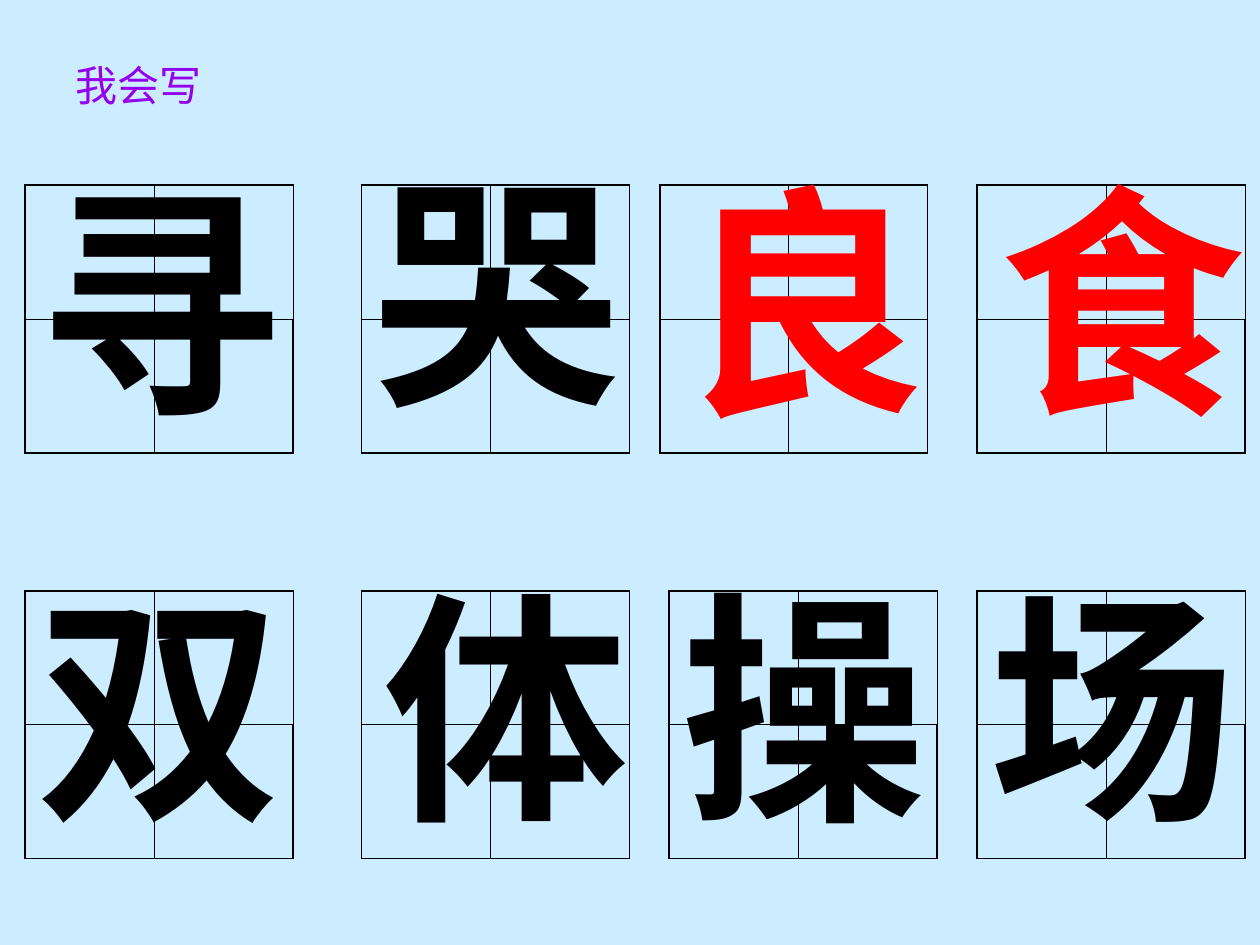
from dataclasses import dataclass
from itertools import product
from lxml.etree import SubElement
from pptx import Presentation
from pptx.dml.color import RGBColor
from pptx.enum.text import MSO_AUTO_SIZE as Auto
from pptx.oxml import parse_xml
from pptx.oxml.ns import nsdecls, qn
from pptx.util import Pt


def tint(code):
    return RGBColor.from_string(code)


def edge(side, width):
    return parse_xml(
        f'<a:ln{side} {nsdecls("a")} w="{Pt(width)}"><a:solidFill>'
        f'<a:srgbClr val="000000"/></a:solidFill></a:ln{side}>'
    )


@dataclass
class Sheet:
    """Draws writing-grid elements on one slide in a shared style."""

    slide: object
    face: str = "Noto Sans CJK SC"
    thick: float = 1.08
    thin: float = 0.45
    cols: tuple = (73.6, 79.5)

    def back(self, code):
        fill = self.slide.background.fill
        fill.solid()
        fill.fore_color.rgb = tint(code)

    def text(self, words, left, top, width, height, size):
        box = self.slide.shapes.add_textbox(Pt(left), Pt(top), Pt(width), Pt(height))
        frame = box.text_frame
        frame.text = words
        line = frame.paragraphs[0]
        font = line.runs[0].font
        font.size = Pt(size)
        font.name = self.face
        return frame, line, font

    def asian(self, font):
        SubElement(font._element, qn("a:ea")).set("typeface", self.face)

    def title(self, words, left, top, width, height):
        frame, _, font = self.text(words, left, top, width, height, 24)
        frame.word_wrap = False
        font.fill.gradient()
        font.fill.gradient_angle = 180
        for stop, code in zip(font.fill.gradient_stops, ("9400ED", "0000FF")):
            stop.color.rgb = tint(code)
        self.asian(font)

    def glyph(self, sign, left, top, code):
        frame, line, font = self.text(sign, left, top, 123.84, 125.28, 140)
        frame.word_wrap = True
        frame.auto_size = Auto.SHAPE_TO_FIT_TEXT
        line.line_spacing = 0.7
        font.bold = True
        font.color.rgb = tint(code)
        self.asian(font)

    def grid(self, left, top, row=76.5):
        table = self.slide.shapes.add_table(
            2, 2, Pt(left), Pt(top), Pt(sum(self.cols)), Pt(2 * row)
        ).table
        table.first_row = table.horz_banding = False
        for i, width in enumerate(self.cols):
            table.columns[i].width = Pt(width)
            table.rows[i].height = Pt(row)
        for r, c in product(range(2), repeat=2):
            cell = table.cell(r, c)
            cell.fill.background()
            bold = {"L": c == 0, "R": r == c == 1, "T": r == 0, "B": r == 1}
            for i, (side, heavy) in enumerate(bold.items()):
                width = self.thick if heavy else self.thin
                cell._tc.tcPr.insert(i, edge(side, width))


def main():
    deck = Presentation()
    deck.slide_width, deck.slide_height = Pt(720), Pt(540)
    sheet = Sheet(deck.slides.add_slide(deck.slide_layouts[6]))
    sheet.back("CCECFF")
    sheet.title("我会写", 36, 30.24, 131.76, 54)
    black, red = "000000", "FF0000"
    rows = [
        (105.84, [
            ("寻", 14.4, 0, 22.4, black),
            ("哭", 206.64, 0, 16.6, black),
            ("食", 558.4, 5.6, 22.4, red),
            ("良", 377, 5.6, 22.4, red),
        ]),
        (337.68, [
            ("双", 14.4, 0, 23, black),
            ("体", 206.64, 5.6, 23, black),
            ("操", 382.4, 0, 23, black),
            ("场", 558.4, 0, 23, black),
        ]),
    ]
    for top, signs in rows:
        for sign, left, dx, dy, code in signs:
            sheet.grid(left, top)
            sheet.glyph(sign, left + dx, top + dy, code)
    deck.save("out.pptx")


if __name__ == "__main__":
    main()
